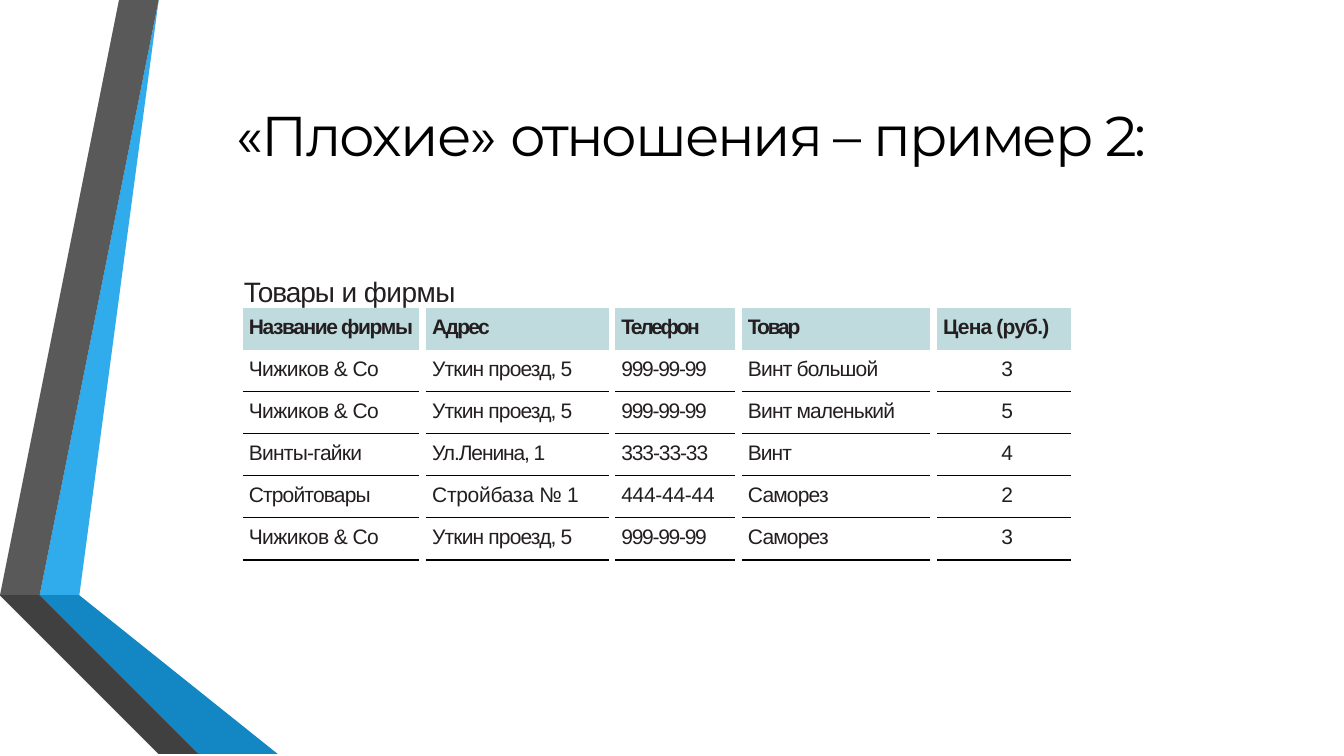
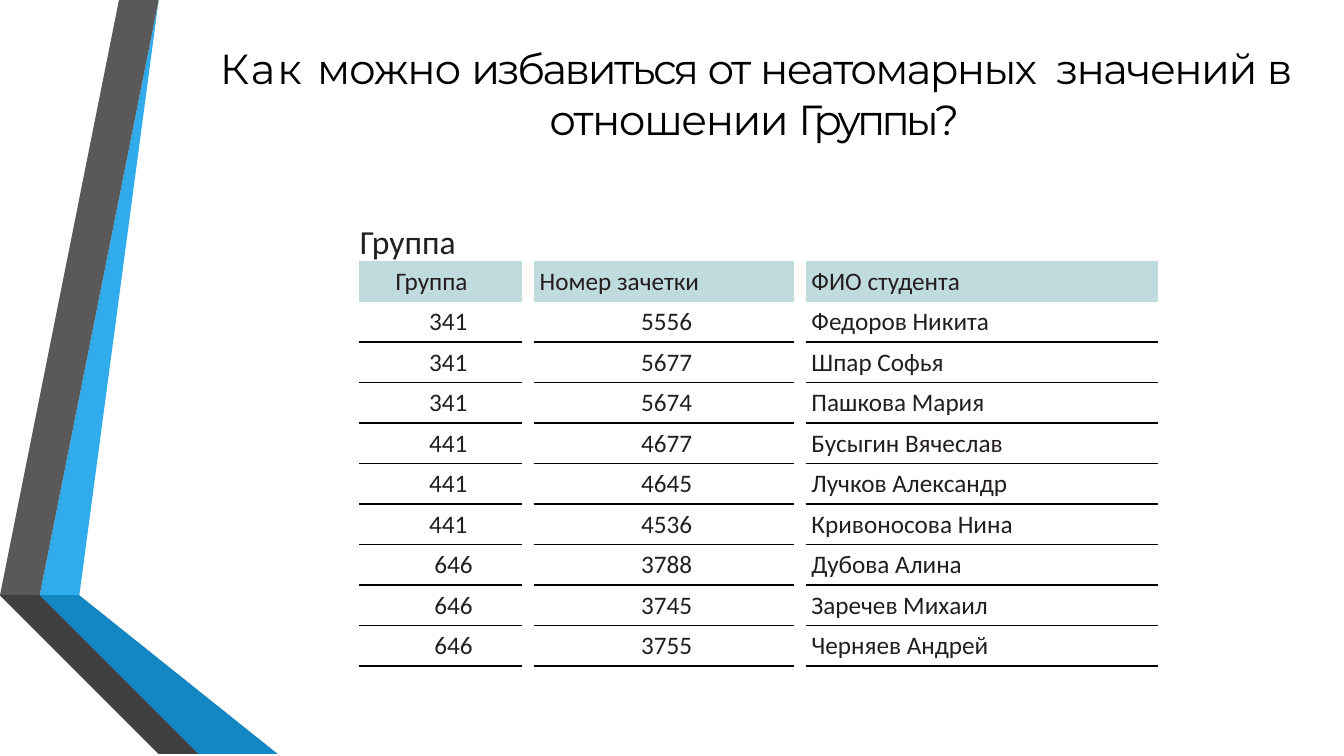
from lxml import etree
from pptx import Presentation, util as u
from pptx.dml.color import RGBColor
from pptx.enum import text
from pptx.oxml.ns import qn

COLOURS = {
    "title": "000000",
    "body": "231E20",
    "header": "C0DBDE",
    "rule": "010202",
    "sky": "30ACEC",
    "blue": "1287C3",
    "navy": "0C5A82",
    "grey": "595959",
    "charcoal": "404040",
    "black": "262626",
}
BOTTOM = 19.05
BANDS = [
    ("sky", [(1.27, 14.68), (1.96, 14.81), (4.39, 0), (3.68, 0)]),
    ("grey", [(3.53, 0), (2.82, 0), (0.41, 14.55), (1.12, 14.66)]),
    ("black", [(0.41, 14.55), (3.68, BOTTOM), (3.84, BOTTOM)]),
    ("navy", [(1.27, 14.71), (5.28, BOTTOM), (5.44, BOTTOM)]),
    ("blue", [(1.27, 14.68), (1.27, 14.71), (5.44, BOTTOM), (7.19, BOTTOM), (1.96, 14.81)]),
    ("charcoal", [(5.13, BOTTOM), (1.22, 14.81), (1.12, 14.66), (0.41, 14.55), (3.84, BOTTOM)]),
]
LEFT, CENTER, RIGHT = text.PP_ALIGN.LEFT, text.PP_ALIGN.CENTER, text.PP_ALIGN.RIGHT

# Each text is a pair: wording and letter spacing in points.
CHIZHIKOV = [("Чижиков & Co", -0.4), ("Уткин проезд, 5", -0.6), ("999-99-99", -0.9)]
GOODS = [
    [("Название фирмы", -1), ("Адрес", -1.2), ("Телефон", -1.6), ("Товар", -1.6), ("Цена (руб.)", -0.6)],
    CHIZHIKOV + [("Винт большой", -0.6), ("3", 0)],
    CHIZHIKOV + [("Винт маленький", -0.6), ("5", 0)],
    [("Винты-гайки", -0.5), ("Ул.Ленина, 1", -0.8), ("333-33-33", -0.8), ("Винт", -0.7), ("4", 0)],
    [("Стройтовары", -0.6), ("Стройбаза № 1", -0.2), ("444-44-44", -0.2), ("Саморез", -0.6), ("2", 0)],
    CHIZHIKOV + [("Саморез", -0.6), ("3", 0)],
]
STUDENTS = [
    ("Группа", "Номер зачетки", "ФИО студента"),
    ("341", "5556", "Федоров Никита"),
    ("341", "5677", "Шпар Софья"),
    ("341", "5674", "Пашкова Мария"),
    ("441", "4677", "Бусыгин Вячеслав"),
    ("441", "4645", "Лучков Александр"),
    ("441", "4536", "Кривоносова Нина"),
    ("646", "3788", "Дубова Алина"),
    ("646", "3745", "Заречев Михаил"),
    ("646", "3755", "Черняев Андрей"),
]


def colour(name):
    return RGBColor.from_string(COLOURS[name])


def write(para, spans, font, size, ink="body", bold=False, align=LEFT):
    """Fill a paragraph with (wording, letter spacing) spans in one font."""
    para.alignment = align
    para.font.name = font
    para.font.size = u.Pt(size)
    para.font.bold = bold
    para.font.color.rgb = colour(ink)
    for wording, spacing in spans:
        span = para.add_run()
        span.text = wording
        if spacing:
            span._r.get_or_add_rPr().set("spc", str(round(spacing * 100)))


def place(shape, left, top, width, height):
    shape.left, shape.top = u.Cm(left), u.Cm(top)
    shape.width, shape.height = u.Cm(width), u.Cm(height)


def set_insets(frame, left=0, top=0, right=0):
    """Set the margins of a text frame or table cell."""
    frame.margin_left, frame.margin_top = u.Cm(left), u.Cm(top)
    frame.margin_right, frame.margin_bottom = u.Cm(right), 0


def add_bands(page, layout):
    """Draw the ribbon and move it behind the placeholders of the layout."""
    for placeholder in list(layout.placeholders)[1:]:
        layout.shapes.element.remove(placeholder.element)
    bands = []
    for name, points in BANDS:
        builder = page.shapes.build_freeform(*points[0], scale=u.Cm(1))
        builder.add_line_segments(points[1:], close=True)
        band = builder.convert_to_shape()
        band.shadow.inherit = False
        band.fill.solid()
        band.fill.fore_color.rgb = colour(name)
        band.line.fill.background()
        bands.append(band)
    for index, band in enumerate(bands, start=2):
        layout.shapes.element.insert(index, band.element)


def set_title(page, spans, area, size, inset, before, line=None):
    title = page.shapes.title
    place(title, *area)
    frame = title.text_frame
    frame.word_wrap = True
    frame.auto_size = text.MSO_AUTO_SIZE.SHAPE_TO_FIT_TEXT
    frame.vertical_anchor = text.MSO_ANCHOR.MIDDLE
    set_insets(frame, top=inset)
    para = frame.paragraphs[0]
    para.space_before = u.Pt(before)
    if line:
        para.line_spacing = u.Pt(line)
    write(para, spans, "Montserrat", size, "title", align=CENTER)


def add_caption(page, spans, area, font, size):
    box = page.shapes.add_textbox(*map(u.Cm, area))
    frame = box.text_frame
    frame.word_wrap = True
    set_insets(frame, left=0.03, top=0.03)
    write(frame.paragraphs[0], spans, font, size)


def set_borders(cell, ruled):
    """Rule the named sides (T, B) and clear the others."""
    properties = cell._tc.get_or_add_tcPr()
    for side in "LRTB":
        line = etree.SubElement(properties, qn(f"a:ln{side}"), w=str(u.Pt(1)))
        if side in ruled:
            fill = etree.SubElement(line, qn("a:solidFill"))
            etree.SubElement(fill, qn("a:srgbClr"), val=COLOURS["rule"])
        else:
            etree.SubElement(line, qn("a:noFill"))


def add_spaced_table(page, left, top, widths, gap, row_height, row_count):
    """Add a table whose text columns are parted by narrow empty ones."""
    columns = [width for item in widths for width in (item, gap)][:-1]
    size = sum(columns), row_height * row_count
    frame = page.shapes.add_table(row_count, len(columns), *map(u.Cm, (left, top, *size)))
    table = frame.table
    table.first_row = table.horz_banding = False
    for column, width in zip(table.columns, columns):
        column.width = u.Cm(width)
    for row_index, row in enumerate(table.rows):
        row.height = u.Cm(row_height)
        body_sides = ("", "B")[row_index] if row_index < 2 else "TB"
        for column_index, cell in enumerate(row.cells):
            is_gap = column_index % 2 == 1
            set_insets(cell)
            set_borders(cell, "" if is_gap else body_sides)
            if row_index == 0 and not is_gap:
                cell.fill.solid()
                cell.fill.fore_color.rgb = colour("header")
            else:
                cell.fill.background()
    return table


def fill_goods(table):
    for row_index, row in enumerate(GOODS):
        for column_index, span in enumerate(row):
            cell = table.cell(row_index, column_index * 2)
            set_insets(cell, left=0.15, top=0.2)
            is_price = row_index > 0 and column_index == 4
            write(cell.text_frame.paragraphs[0], [span], "Arial", 15,
                  bold=row_index == 0, align=CENTER if is_price else LEFT)


def fill_students(table):
    for row_index, row in enumerate(STUDENTS):
        alignments = (RIGHT, CENTER if row_index else LEFT, LEFT)
        for column_index, (wording, align) in enumerate(zip(row, alignments)):
            cell = table.cell(row_index, column_index * 2)
            if align == RIGHT:
                set_insets(cell, top=0.13, right=1.24 if wording == "646" else 1.37)
            else:
                set_insets(cell, left=0.15, top=0.13)
            write(cell.text_frame.paragraphs[0], [(wording, 0)], "Calibri", 18, align=align)


def build_goods_page(page):
    set_title(page, [("«Плохие» ", -1.2), ("отношения – ", -1.6), ("пример ", -1.7), ("2:", -2.5)],
              (3.38, 2.26, 28.09, 1.98), 40, inset=0.2, before=5.6, line=50)
    add_caption(page, [("Товары ", -0.8), ("и фирмы", -0.4)], (6.12, 6.88, 5.44, 0.86), "Arial", 20)
    table = add_spaced_table(page, 6.12, 7.75, (4.45, 4.6, 3.02, 4.75, 3.38), 0.17, 1.06, len(GOODS))
    fill_goods(table)


def build_students_page(page):
    set_title(page, [("Как ", 1.5), ("можно ", -0.8), ("избавиться ", -1.7), ("от ", -1.5),
                     ("неатомарных", -1.2), (" ", 5.5), ("значений ", -1.1), ("в ", -2.7),
                     ("отношении ", -1.1), ("Группы?", -2.8)],
              (4.47, 1.04, 29.08, 2.59), 30, inset=0.03, before=0.6)
    add_caption(page, [("Группа", 0)], (9.04, 5.54, 5.77, 1.04), "Calibri", 24)
    table = add_spaced_table(page, 9.04, 6.58, (4.11, 6.55, 8.89), 0.3, 1.02, len(STUDENTS))
    fill_students(table)


def main():
    deck = Presentation()
    deck.slide_width, deck.slide_height = u.Cm(33.87), u.Cm(BOTTOM)
    layout = deck.slide_layouts.get_by_name("Title Only")
    goods_page = deck.slides.add_slide(layout)
    add_bands(goods_page, layout)
    build_goods_page(goods_page)
    build_students_page(deck.slides.add_slide(layout))
    deck.save("out.pptx")


if __name__ == "__main__":
    main()
